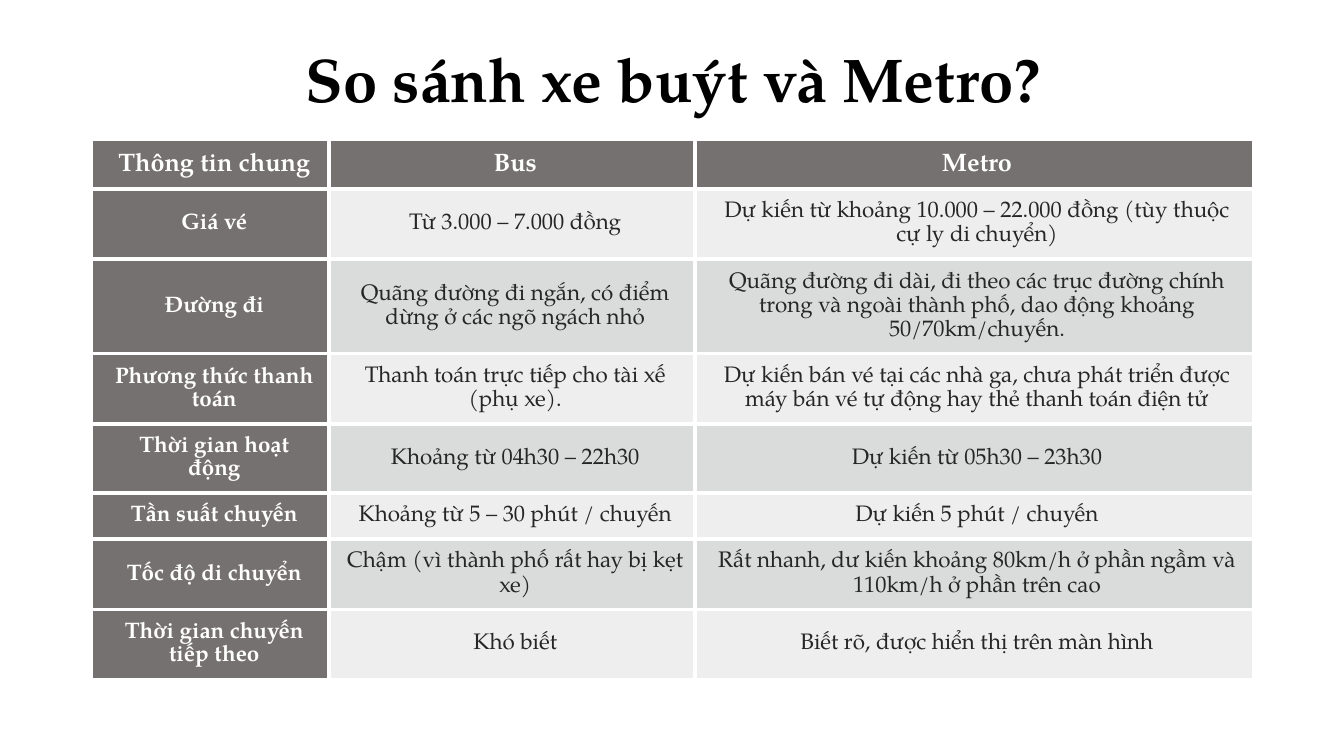
from lxml.etree import SubElement
from pptx import Presentation
from pptx.dml.color import RGBColor
from pptx.enum.text import MSO_ANCHOR, PP_ALIGN
from pptx.oxml.ns import qn
from pptx.util import Inches, Pt

TITLE = "So sánh xe buýt và Metro?"
ROWS = [
    ("Thông tin chung", "Bus", "Metro"),
    ("Giá vé", "Từ 3.000 – 7.000 đồng",
     "Dự kiến từ khoảng 10.000 – 22.000 đồng (tùy thuộc cự ly di chuyển)"),
    ("Đường đi", "Quãng đường đi ngắn, có điểm dừng ở các ngõ ngách nhỏ",
     "Quãng đường đi dài, đi theo các trục đường chính trong và ngoài thành phố, "
     "dao động khoảng 50/70km/chuyến."),
    ("Phương thức thanh toán", "Thanh toán trực tiếp cho tài xế (phụ xe).",
     "Dự kiến bán vé tại các nhà ga, chưa phát triển được máy bán vé tự động "
     "hay thẻ thanh toán điện tử"),
    ("Thời gian hoạt động", "Khoảng từ 04h30 – 22h30", "Dự kiến từ 05h30 – 23h30"),
    ("Tần suất chuyến", "Khoảng từ 5 – 30 phút / chuyến", "Dự kiến 5 phút / chuyến"),
    ("Tốc độ di chuyển", "Chậm (vì thành phố rất hay bị kẹt xe)",
     "Rất nhanh, dư kiến khoảng 80km/h ở phần ngầm và 110km/h ở phần trên cao"),
    ("Thời gian chuyến tiếp theo", "Khó biết", "Biết rõ, được hiển thị trên màn hình"),
]
COL_WIDTHS = [2.34, 3.63, 5.53]
ROW_HEIGHTS = [0.47, 0.68, 0.93, 0.68, 0.45, 0.45, 0.68, 0.68]


def color(value):
    return RGBColor.from_string(value)


def write(tf, text, font="TeX Gyre Pagella", size=16, fill="262626", bold=False, spacing=1.07):
    tf.word_wrap = True
    p = tf.paragraphs[0]
    p.alignment = PP_ALIGN.CENTER
    p.line_spacing = spacing
    r = p.add_run()
    r.text = text
    r.font.name = font
    r.font.size = Pt(size)
    r.font.bold = bold
    r.font.color.rgb = color(fill)


class Deck:
    head_fill = "767171"
    body_fill = "878E8B"
    rule = "FFFFFF"
    black = "000000"

    def __init__(self, prs):
        self.s = prs.slides.add_slide(prs.slide_layouts[5])

    def title(self, text, x, y, w, h):
        sp = self.s.shapes.title
        sp.left, sp.top, sp.width, sp.height = map(Inches, (x, y, w, h))
        sp.text_frame.vertical_anchor = MSO_ANCHOR.MIDDLE
        write(sp.text_frame, text, size=44, fill=self.black, bold=True, spacing=0.9)

    def borders(self, cell, sides):
        tc_pr = cell._tc.get_or_add_tcPr()
        for i, side in enumerate(sides):
            ln = tc_pr.makeelement(qn(f"a:{side}"), {"w": str(Pt(3))})
            SubElement(SubElement(ln, qn("a:solidFill")), qn("a:srgbClr"), val=self.rule)
            tc_pr.insert(i, ln)

    def cell(self, cell, text, header, size, alpha):
        cell.vertical_anchor = MSO_ANCHOR.MIDDLE
        cell.margin_left = Inches(0.18)
        cell.margin_right = cell.margin_top = cell.margin_bottom = Inches(0.11)
        cell.fill.solid()
        cell.fill.fore_color.rgb = color(self.head_fill if header else self.body_fill)
        if not header:
            rgb = cell._tc.tcPr.find(f".//{qn('a:srgbClr')}")
            SubElement(rgb, qn("a:alpha"), val=str(alpha * 1000))
        write(cell.text_frame, text, size=size, bold=header,
              fill=self.rule if header else "262626")

    def table(self, rows, x, y, widths, heights):
        frame = self.s.shapes.add_table(len(rows), len(widths), Inches(x), Inches(y),
                                        Inches(sum(widths)), Inches(sum(heights)))
        table = frame.table
        for column, width in zip(table.columns, widths):
            column.width = Inches(width)
        for row, height in zip(table.rows, heights):
            row.height = Inches(height)
        for i, texts in enumerate(rows):
            for j, text in enumerate(texts):
                cell = table.cell(i, j)
                self.cell(cell, text, header=i == 0 or j == 0,
                          size=18 if i == 0 else 16, alpha=15 if i % 2 else 30)
                inner = {"lnL": j > 0, "lnR": j < len(widths) - 1,
                         "lnT": i > 0, "lnB": i < len(rows) - 1}
                self.borders(cell, [side for side, shown in inner.items() if shown])


def main():
    prs = Presentation()
    prs.slide_width, prs.slide_height = Inches(13.33), Inches(7.5)
    deck = Deck(prs)
    deck.title(TITLE, 0.93, 0.38, 11.5, 0.87)
    deck.table(ROWS, 0.92, 1.39, COL_WIDTHS, ROW_HEIGHTS)
    prs.save("out.pptx")


if __name__ == "__main__":
    main()
